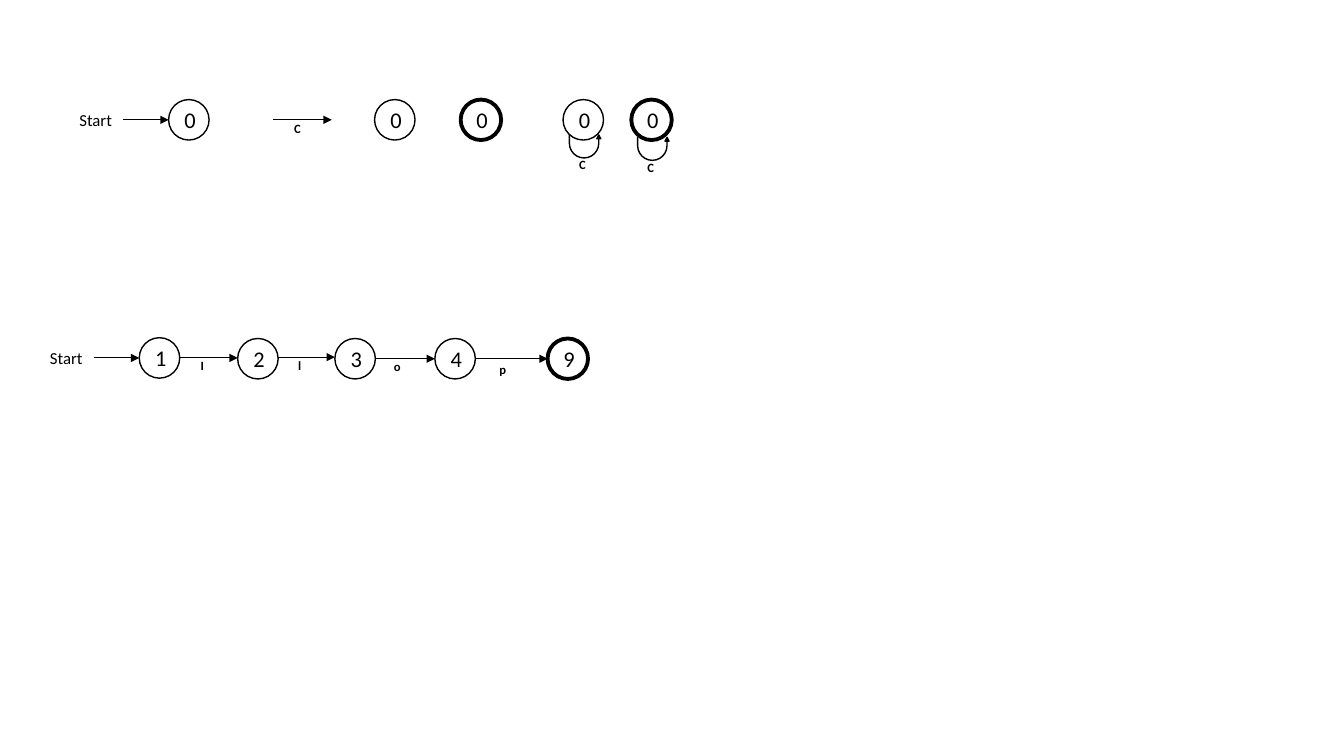
import pptx
import pptx.dml.color
import pptx.enum.shapes
import pptx.enum.text
import pptx.oxml
import pptx.oxml.ns
import pptx.util
from pptx.util import Cm

BLACK = pptx.dml.color.RGBColor(0, 0, 0)
FONT = "Calibri"
RADIUS = 0.51
THIN, MEDIUM, THICK = 0.75, 1, 2.75
LEGEND_Y = 3.02
WORD_Y = 9.04


def write_text(text_frame, text, size, bold=False, align=None, anchor=None):
    text_frame.vertical_anchor = anchor
    paragraph = text_frame.paragraphs[0]
    paragraph.alignment = align
    run = paragraph.add_run()
    run.text = text
    run.font.name = FONT
    run.font.size = pptx.util.Pt(size)
    run.font.bold = bold
    run.font.color.rgb = BLACK


def set_line(line, width):
    line.color.rgb = BLACK
    line.width = pptx.util.Pt(width)


def add_state(shapes, text, x, y, final=False):
    circle = shapes.add_shape(
        pptx.enum.shapes.MSO_SHAPE.OVAL,
        Cm(x - RADIUS), Cm(y - RADIUS), Cm(2 * RADIUS), Cm(2 * RADIUS))
    circle.shadow.inherit = False
    circle.fill.background()
    set_line(circle.line, THICK if final else MEDIUM)
    write_text(circle.text_frame, text, 16,
               align=pptx.enum.text.PP_ALIGN.CENTER,
               anchor=pptx.enum.text.MSO_ANCHOR.MIDDLE)


def add_arrow(shapes, start, end, y):
    arrow = shapes.add_connector(
        pptx.enum.shapes.MSO_CONNECTOR.STRAIGHT,
        Cm(start), Cm(y), Cm(end), Cm(y))
    set_line(arrow.line, THIN)
    line = arrow.line._get_or_add_ln()
    head = pptx.oxml.parse_xml(
        f'<a:tailEnd {pptx.oxml.ns.nsdecls("a")} type="triangle"/>')
    line.append(head)
    effects = pptx.oxml.parse_xml(
        f'<a:effectLst {pptx.oxml.ns.nsdecls("a")}/>')
    arrow.element.spPr.append(effects)


def add_label(shapes, text, x, y):
    width, height = 0.41, 0.64
    box = shapes.add_textbox(
        Cm(x - width / 2), Cm(y - height / 2), Cm(width), Cm(height))
    box.text_frame.word_wrap = False
    box.text_frame.margin_left = box.text_frame.margin_right = 0
    write_text(box.text_frame, text, 9, bold=True,
               align=pptx.enum.text.PP_ALIGN.CENTER)


def add_start(slide, text, x, y):
    shapes = slide.shapes.add_group_shape().shapes
    edge = x - RADIUS
    box = shapes.add_textbox(Cm(edge - 2.5), Cm(y - 0.38), Cm(1.35), Cm(0.77))
    box.text_frame.word_wrap = False
    write_text(box.text_frame, "Start", 12)
    add_arrow(shapes, edge - 1.15, edge, y)
    add_state(shapes, text, x, y)


def add_transition(slide, text, start, end, y, label_x, label_y):
    shapes = slide.shapes.add_group_shape().shapes
    add_arrow(shapes, start, end, y)
    add_label(shapes, text, label_x, label_y)


def add_looped_state(slide, text, symbol, x, y, drop, final=False):
    shapes = slide.shapes.add_group_shape().shapes
    add_state(shapes, text, x, y, final)
    loop = shapes.add_shape(
        pptx.enum.shapes.MSO_SHAPE.U_TURN_ARROW,
        Cm(x - 0.35), Cm(y + drop), Cm(0.79), Cm(0.58))
    loop.shadow.inherit = False
    for index, value in enumerate((0, 0.085, 0.164, 0.717, 1)):
        loop.adjustments[index] = value
    loop.rotation = 180
    loop.element.spPr.find(pptx.oxml.ns.qn("a:xfrm")).set("flipH", "1")
    loop.fill.solid()
    loop.fill.fore_color.rgb = BLACK
    set_line(loop.line, MEDIUM)
    add_label(shapes, symbol, x - 0.02, y + drop + 0.76)


def add_legend(slide):
    add_start(slide, "0", 4.76, LEGEND_Y)
    add_state(slide.shapes, "0", 9.95, LEGEND_Y)
    add_transition(slide, "C", 6.88, 8.36, LEGEND_Y, 7.5, 3.24)
    add_state(slide.shapes, "0", 12.12, LEGEND_Y, final=True)
    add_looped_state(slide, "0", "C", 14.7, LEGEND_Y, 0.38)
    add_looped_state(slide, "0", "C", 16.42, LEGEND_Y, 0.44, final=True)


def add_word(slide):
    previous = 4.02
    add_start(slide, "1", previous, WORD_Y - 0.02)
    steps = [
        ("I", "2", 6.5, 9.02, 5.1, 9.21),
        ("l", "3", 8.95, 9.0, 7.55, 9.21),
        ("o", "4", 11.47, WORD_Y, 10.01, 9.23),
        ("p", "9", 14.31, WORD_Y, 12.67, 9.31),
    ]
    for symbol, state, x, y, label_x, label_y in steps:
        add_transition(slide, symbol, previous + RADIUS, x - RADIUS, y,
                       label_x, label_y)
        add_state(slide.shapes, state, x, WORD_Y, final=state == "9")
        previous = x


def main():
    presentation = pptx.Presentation()
    presentation.slide_width = Cm(33.87)
    presentation.slide_height = Cm(19.05)
    slide = presentation.slides.add_slide(presentation.slide_layouts[6])
    add_legend(slide)
    add_word(slide)
    presentation.save("out.pptx")


if __name__ == "__main__":
    main()
